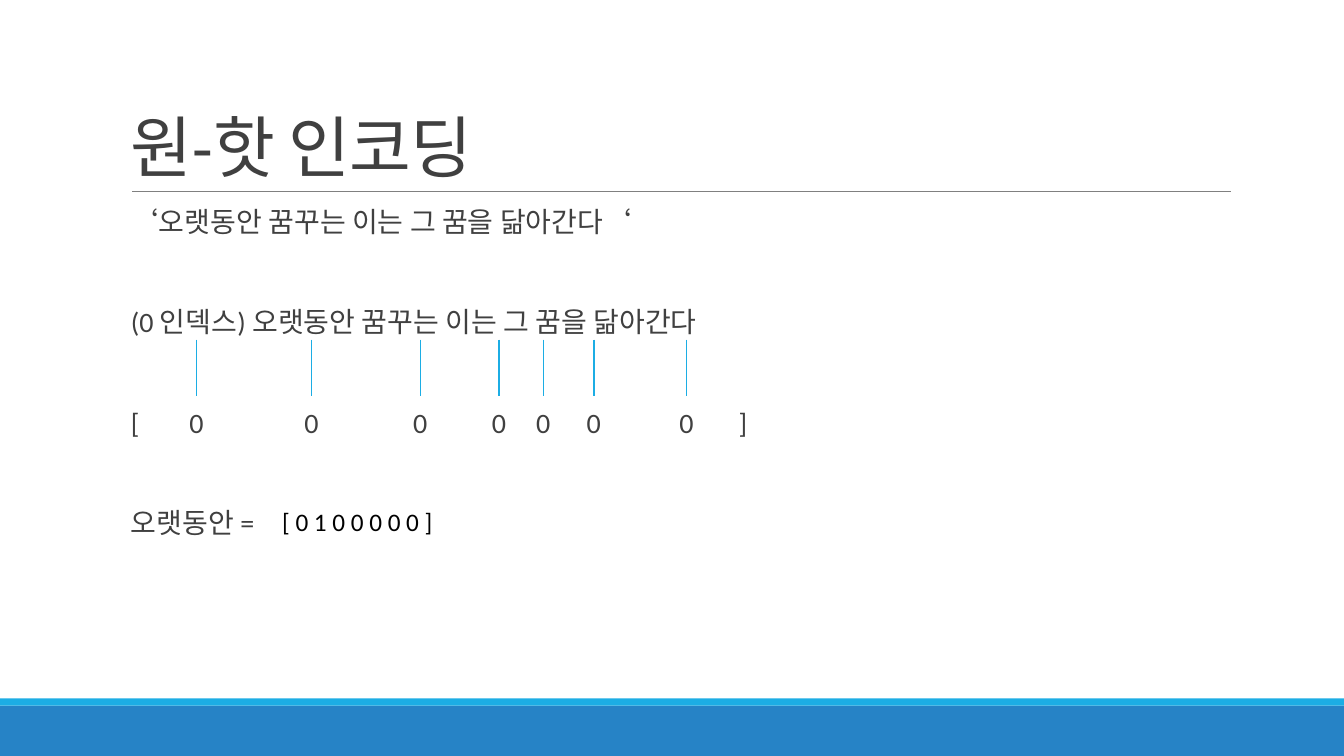
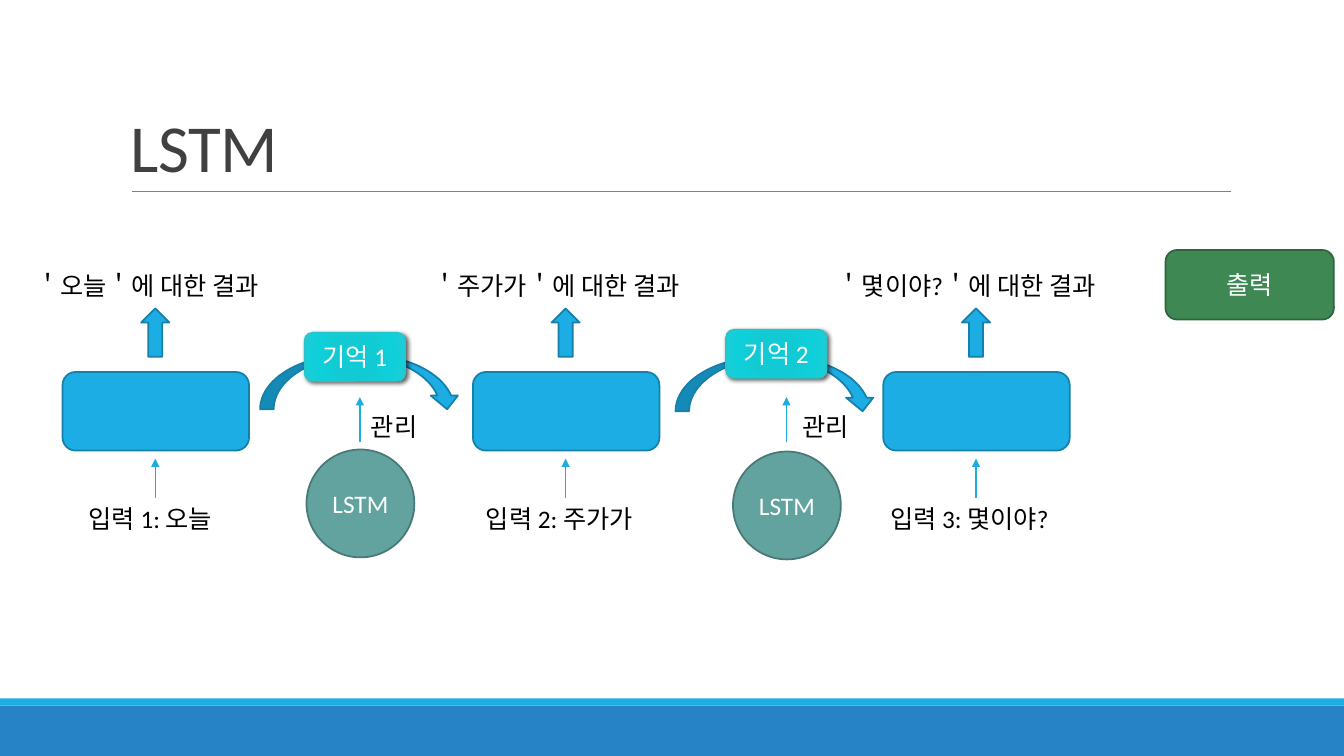
import pptx
import pptx.util
import pptx.dml.color
import pptx.enum.shapes
import pptx.enum.text
import pptx.oxml
import pptx.oxml.ns

Inches = pptx.util.Inches
Pt = pptx.util.Pt
RGBColor = pptx.dml.color.RGBColor
Shape = pptx.enum.shapes.MSO_SHAPE
Anchor = pptx.enum.text.MSO_ANCHOR
Align = pptx.enum.text.PP_ALIGN

FONT = "Calibri"
WHITE = RGBColor(0xFF, 0xFF, 0xFF)
BLACK = RGBColor(0x00, 0x00, 0x00)
DARK_GRAY = RGBColor(0x40, 0x40, 0x40)
RULE_GRAY = RGBColor(0x80, 0x80, 0x80)
BAND_BLUE = RGBColor(0x26, 0x83, 0xC6)
SKY_BLUE = RGBColor(0x1C, 0xAD, 0xE4)
SKY_EDGE = RGBColor(0x15, 0x80, 0xA9)
GREEN = RGBColor(0x3E, 0x88, 0x53)
GREEN_EDGE = RGBColor(0x2E, 0x65, 0x3D)
TEAL = RGBColor(0x62, 0xA3, 0x9F)
TEAL_EDGE = RGBColor(0x49, 0x79, 0x76)
CYAN = RGBColor(0x0F, 0xD0, 0xDA)
CYAN_EDGE = RGBColor(0x28, 0xC4, 0xCC)
CYAN_STOPS = [(0, "0ECBD5"), (34, "12CAD3"), (70, "0FD0DA"), (100, "20CBD4")]


def add_xml(parent, body):
    """Append a DrawingML fragment to an element and return it."""
    tag, rest = body.split(" ", 1)
    element = pptx.oxml.parse_xml(f"<a:{tag} {pptx.oxml.ns.nsdecls('a')} {rest}")
    parent.append(element)
    return element


def write(frame, text, size=18, color=BLACK, align=Align.LEFT, anchor=Anchor.TOP,
          line_spacing=None, gap=0, after=0, tracking=0, tabs=()):
    """Write one paragraph per line of text, with gap points between them."""
    frame.word_wrap = True
    frame.vertical_anchor = anchor
    for index, line in enumerate(text.split("\n")):
        paragraph = frame.add_paragraph() if index else frame.paragraphs[0]
        paragraph.alignment = align
        paragraph.space_before = Pt(gap if index else 0)
        paragraph.space_after = Pt(after)
        if line_spacing:
            paragraph.line_spacing = line_spacing
        if "\t" in line:
            stops = "".join(f'<a:tab pos="{Inches(stop)}" algn="ctr"/>' for stop in tabs)
            add_xml(paragraph._p.get_or_add_pPr(), f"tabLst >{stops}</a:tabLst>")
        run = paragraph.add_run()
        run.text = line
        run.font.name = FONT
        run.font.size = Pt(size)
        run.font.color.rgb = color
        if tracking:
            run.font._element.set("spc", str(int(tracking * 100)))


class Deck:
    """The shared style and the slide being drawn."""

    def __init__(self):
        """Start a wide presentation."""
        self.presentation = pptx.Presentation()
        self.presentation.slide_width = Inches(13.33)
        self.presentation.slide_height = Inches(7.5)
        self.slide = None

    def new_slide(self, title):
        """Add a slide with the bands, the rule and the title."""
        self.slide = self.presentation.slides.add_slide(self.presentation.slide_layouts[6])
        self.shape(Shape.RECTANGLE, 0, 7, 13.33, 0.5, BAND_BLUE)
        self.shape(Shape.RECTANGLE, 0, 6.93, 13.33, 0.07, SKY_BLUE)
        self.line(1.31, 1.9, 12.21, 1.9, RULE_GRAY, 0.5)
        self.text(title, 1.2, 0.31, 11, 1.59, size=48, color=DARK_GRAY,
                  anchor=Anchor.BOTTOM, line_spacing=0.85, tracking=-0.5)

    def text(self, text, left, top, width, height=0.4, **style):
        """Add a text box."""
        box = self.slide.shapes.add_textbox(
            Inches(left), Inches(top), Inches(width), Inches(height))
        write(box.text_frame, text, **style)

    def shape(self, kind, left, top, width, height, fill, edge=None, text=None):
        """Add a filled preset shape, with an optional edge and centred text."""
        shape = self.slide.shapes.add_shape(
            kind, Inches(left), Inches(top), Inches(width), Inches(height))
        shape.shadow.inherit = False
        shape.fill.solid()
        shape.fill.fore_color.rgb = fill
        if edge is None:
            shape.line.fill.background()
        else:
            shape.line.color.rgb = edge
            shape.line.width = Pt(1.25)
        if text:
            write(shape.text_frame, text, color=WHITE, align=Align.CENTER,
                  anchor=Anchor.MIDDLE)
        return shape

    def memory(self, text, left, top):
        """Add a memory box with a round gradient and a soft shadow."""
        shape = self.shape(Shape.ROUNDED_RECTANGLE, left, top, 1, 0.48,
                           CYAN, CYAN_EDGE, text)
        shape.line.width = Pt(1)
        properties = shape._element.spPr
        stops = "".join(f'<a:gs pos="{position * 1000}"><a:srgbClr val="{color}"/></a:gs>'
                        for position, color in CYAN_STOPS)
        gradient = add_xml(properties, (
            f'gradFill rotWithShape="1"><a:gsLst>{stops}</a:gsLst><a:path path="circle">'
            '<a:fillToRect l="100000" t="100000" r="100000" b="100000"/>'
            '</a:path></a:gradFill>'))
        properties.replace(properties.find(pptx.oxml.ns.qn("a:solidFill")), gradient)
        effects = properties.find(pptx.oxml.ns.qn("a:effectLst"))
        add_xml(effects, (
            f'outerShdw blurRad="{Pt(3)}" dist="{Pt(2)}" dir="{45 * 60000}">'
            '<a:srgbClr val="000000"><a:alpha val="60000"/></a:srgbClr></a:outerShdw>'))

    def line(self, x1, y1, x2, y2, color=SKY_BLUE, width=1, arrow=False):
        """Add a straight line, with an optional arrowhead at its end."""
        line = self.slide.shapes.add_connector(
            pptx.enum.shapes.MSO_CONNECTOR.STRAIGHT,
            Inches(x1), Inches(y1), Inches(x2), Inches(y2))
        line.line.color.rgb = color
        line.line.width = Pt(width)
        if arrow:
            add_xml(line.line._get_or_add_ln(), 'tailEnd type="triangle"/>')
        add_xml(line._element.spPr, "effectLst />")


def one_hot_slide(deck):
    """Each word of a sentence stands over its place in the vector."""
    deck.new_slide("원-핫 인코딩")
    text_left = 1.3
    word_centers = [1.95, 3.09, 4.17, 4.95, 5.39, 5.89, 6.81]
    bracket_center = 7.37
    vector = "\t".join(["["] + ["0"] * len(word_centers) + ["]"])
    sentence = "오랫동안 꿈꾸는 이는 그 꿈을 닮아간다"
    lines = [f"‘{sentence}‘", f"(0 인덱스) {sentence}", vector, "오랫동안 ="]
    deck.text("\n".join(lines), text_left - 0.1, 2.02, 11, 4.4, size=20,
              color=DARK_GRAY, line_spacing=0.9, gap=48, after=2,
              tabs=[center - text_left for center in word_centers + [bracket_center]])
    for center in word_centers:
        deck.line(center, 3.37, center, 3.93)
    deck.text("[ 0 1 0 0 0 0 0 ]", 2.7, 4.97, 1.71)


def lstm_slide(deck):
    """Three inputs give three results, with managed memory in between."""
    deck.new_slide("LSTM")
    cells = [
        ("입력 1: 오늘", 0.78, 1.52, "＇오늘＇에 대한 결과", 0.25, 2.59),
        ("입력 2: 주가가", 4.72, 1.78, "＇주가가＇에 대한 결과", 4.19, 2.84),
        ("입력 3: 몇이야?", 8.73, 2.1, "＇몇이야?＇에 대한 결과", 8.2, 2.96),
    ]
    for index, (entry, entry_left, entry_width, result, result_left, result_width) \
            in enumerate(cells):
        center = 1.54 + 4.07 * index
        deck.shape(Shape.ROUNDED_RECTANGLE, center - 0.92, 3.69, 1.85, 0.78,
                   SKY_BLUE, SKY_EDGE)
        deck.text(entry, entry_left, 4.94, entry_width)
        deck.line(center, 4.94, center, 4.55, arrow=True)
        deck.text(result, result_left, 2.63, result_width)
        deck.shape(Shape.UP_ARROW, center - 0.14, 3.06, 0.28, 0.48, SKY_BLUE, SKY_EDGE)
    deck.shape(Shape.ROUNDED_RECTANGLE, 11.56, 2.48, 1.67, 0.69,
               GREEN, GREEN_EDGE, "출력")

    links = [
        ("기억 1", 2.58, 3.52, 3.02, 3.3, 3.57, 4.46, 3.58),
        ("기억 2", 6.7, 3.54, 7.2, 3.27, 7.8, 4.48, 7.86),
    ]
    for name, curve_left, curve_top, left, top, center, circle_top, label_left in links:
        deck.shape(Shape.CURVED_DOWN_ARROW, curve_left, curve_top, 1.99, 0.54,
                   SKY_BLUE, SKY_EDGE)
        deck.memory(name, left, top)
        deck.shape(Shape.OVAL, center - 0.53, circle_top, 1.07, 1.07,
                   TEAL, TEAL_EDGE, "LSTM")
        deck.line(center, 4.39, center, 3.94, arrow=True)
        deck.text("관리", label_left, 4.03, 0.76)


def main():
    """Build both slides and save them."""
    deck = Deck()
    one_hot_slide(deck)
    lstm_slide(deck)
    deck.presentation.save("out.pptx")


main()
